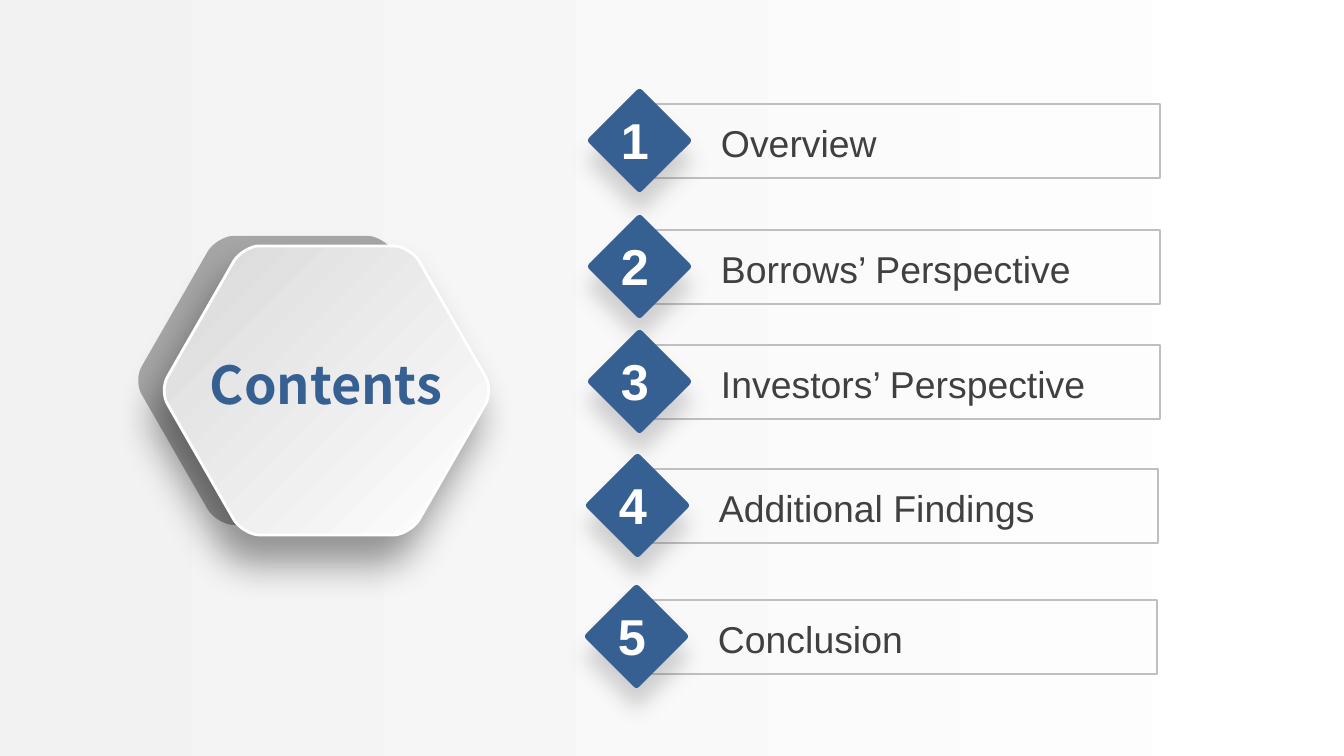
from lxml.etree import SubElement
from pptx import Presentation
from pptx.dml.color import RGBColor
from pptx.enum.shapes import MSO_SHAPE as Preset
from pptx.enum.text import MSO_AUTO_SIZE as AutoSize, PP_ALIGN as Align
from pptx.oxml.ns import qn
from pptx.util import Pt

PX = 914400 / 134.4
WIDTH, HEIGHT = 1344, 756

COLORS = {
    "blue": "376092", "text": "404040", "white": "FFFFFF", "edge": "BFBFBF",
    "back": "A6A6A6", "light": "F2F2F2", "silver": "D9D9D9",
    "black": "000000", "shade": "595959",
}

TITLE = "Contents"
# label, left and top of the bar, width of the label box
ITEMS = [
    ("Overview", 637, 104, 366),
    ("Borrows’ Perspective", 637, 230, 473),
    ("Investors’ Perspective", 637, 345, 473),
    ("Additional Findings", 635, 469, 446),
    ("Conclusion", 634, 600, 366),
]

# Rounded corners of the hexagon's left half, each a cubic curve
HEX_WIDTH, HEX_HEIGHT = 325, 289
LOWER_CORNER = [(95, 289), (87, 289), (75, 282), (70, 274)]
LEFT_CORNER = [(4, 159), (-1, 151), (-1, 138), (4, 130)]


def emu(*lengths):
    return [round(length * PX) for length in lengths]


def rgb(name):
    return RGBColor.from_string(COLORS[name])


def style(shape, fill=None, line=None, weight=1, angle=0):
    """Fill with nothing, one colour name, or a pair of names as a gradient."""
    shape.shadow.inherit = False
    if fill is None:
        shape.fill.background()
    elif isinstance(fill, tuple):
        shape.fill.gradient()
        shape.fill.gradient_angle = angle
        for stop, name in zip(shape.fill.gradient_stops, fill):
            stop.color.rgb = rgb(name)
    else:
        shape.fill.solid()
        shape.fill.fore_color.rgb = rgb(fill)
    if line:
        shape.line.color.rgb = rgb(line)
        shape.line.width = Pt(weight)
    else:
        shape.line.fill.background()


def add_shadow(shape, color, alpha, blur, distance, direction):
    effects = shape._element.spPr.find(qn("a:effectLst"))
    shadow = SubElement(effects, qn("a:outerShdw"), {
        "blurRad": str(Pt(blur)), "dist": str(Pt(distance)),
        "dir": str(direction * 60000), "algn": "ctr", "rotWithShape": "0"})
    tint = SubElement(shadow, qn("a:srgbClr"), val=COLORS[color])
    SubElement(tint, qn("a:alpha"), val=str(alpha * 1000))


def add_text(shapes, text, place, size, color, font="Arial", bold=False,
             align=None, wrap=True, inset=(9, 5)):
    box = shapes.add_textbox(*emu(*place))
    frame = box.text_frame
    frame.text = text
    frame.word_wrap = wrap
    frame.auto_size = AutoSize.SHAPE_TO_FIT_TEXT
    frame.margin_left = frame.margin_right = emu(inset[0])[0]
    frame.margin_top = frame.margin_bottom = emu(inset[1])[0]
    para = frame.paragraphs[0]
    para.alignment = align
    span = para.runs[0].font
    span.name, span.size, span.bold = font, Pt(size), bold
    span.color.rgb = rgb(color)


def curve_points(corner, steps=8):
    for step in range(steps + 1):
        t = step / steps
        weights = ((1 - t) ** 3, 3 * t * (1 - t) ** 2, 3 * t * t * (1 - t), t ** 3)
        yield tuple(sum(w * point[axis] for w, point in zip(weights, corner))
                    for axis in (0, 1))


def add_hexagon(shapes, left, top):
    lower = list(curve_points(LOWER_CORNER))
    upper = [(x, HEX_HEIGHT - y) for x, y in reversed(lower)]
    half = lower + list(curve_points(LEFT_CORNER)) + upper
    outline = half + [(HEX_WIDTH - x, y) for x, y in reversed(half)]
    points = [emu(left + x, top + y) for x, y in outline]
    builder = shapes.build_freeform(*points[0])
    builder.add_line_segments(points[1:], close=True)
    return builder.convert_to_shape()


def add_item(page, number, label, left, top, label_width):
    shapes = page.shapes.add_group_shape().shapes
    bar = shapes.add_shape(Preset.RECTANGLE, *emu(left, top, 523, 74))
    style(bar, line="edge")
    add_text(shapes, label, (left + 75, top + 11, label_width, 55), 20, "text")
    diamond = shapes.add_shape(Preset.ROUNDED_RECTANGLE,
                               *emu(left - 35, top - 1, 75, 75))
    diamond.adjustments[0] = 0.05
    diamond.rotation = 45
    style(diamond, "blue")
    add_shadow(diamond, "shade", 25, 11, 11, 90)
    add_text(shapes, str(number), (left - 25, top, 48, 71), 27, "white",
             bold=True, wrap=False)


def main():
    deck = Presentation()
    deck.slide_width, deck.slide_height = emu(WIDTH, HEIGHT)
    page = deck.slides.add_slide(deck.slide_layouts[6])

    backdrop = page.shapes.add_shape(Preset.RECTANGLE, *emu(0, 0, WIDTH, HEIGHT))
    style(backdrop, ("light", "white"))

    style(add_hexagon(page.shapes, 138, 236), "back")
    front = add_hexagon(page.shapes, 164, 246)
    style(front, ("silver", "white"), "white", 1.5, angle=315)
    add_shadow(front, "black", 40, 21, 16, 113)
    add_text(page.shapes, TITLE, (117, 345, 418, 77), 28, "blue",
             font="Noto Sans CJK SC", bold=True, align=Align.CENTER,
             inset=(13, 7))

    for number, item in enumerate(ITEMS, 1):
        add_item(page, number, *item)
    deck.save("out.pptx")


if __name__ == "__main__":
    main()
